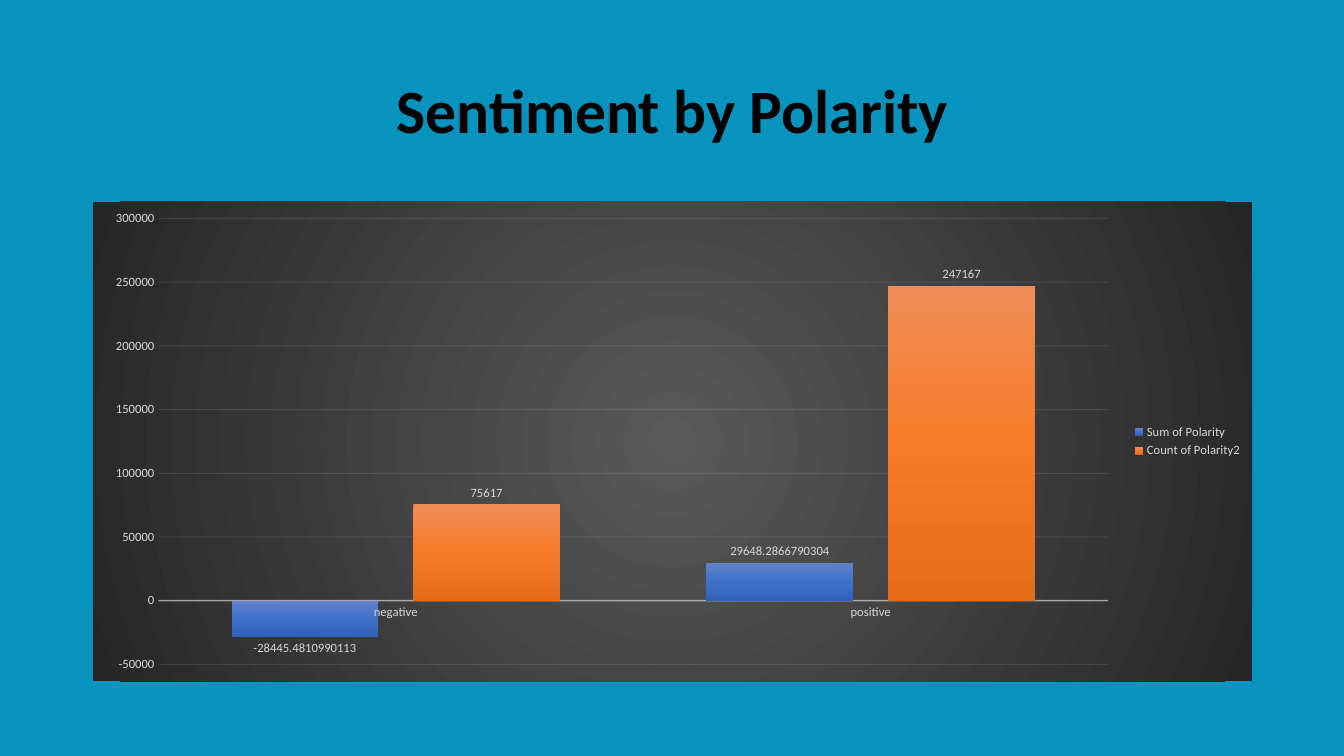
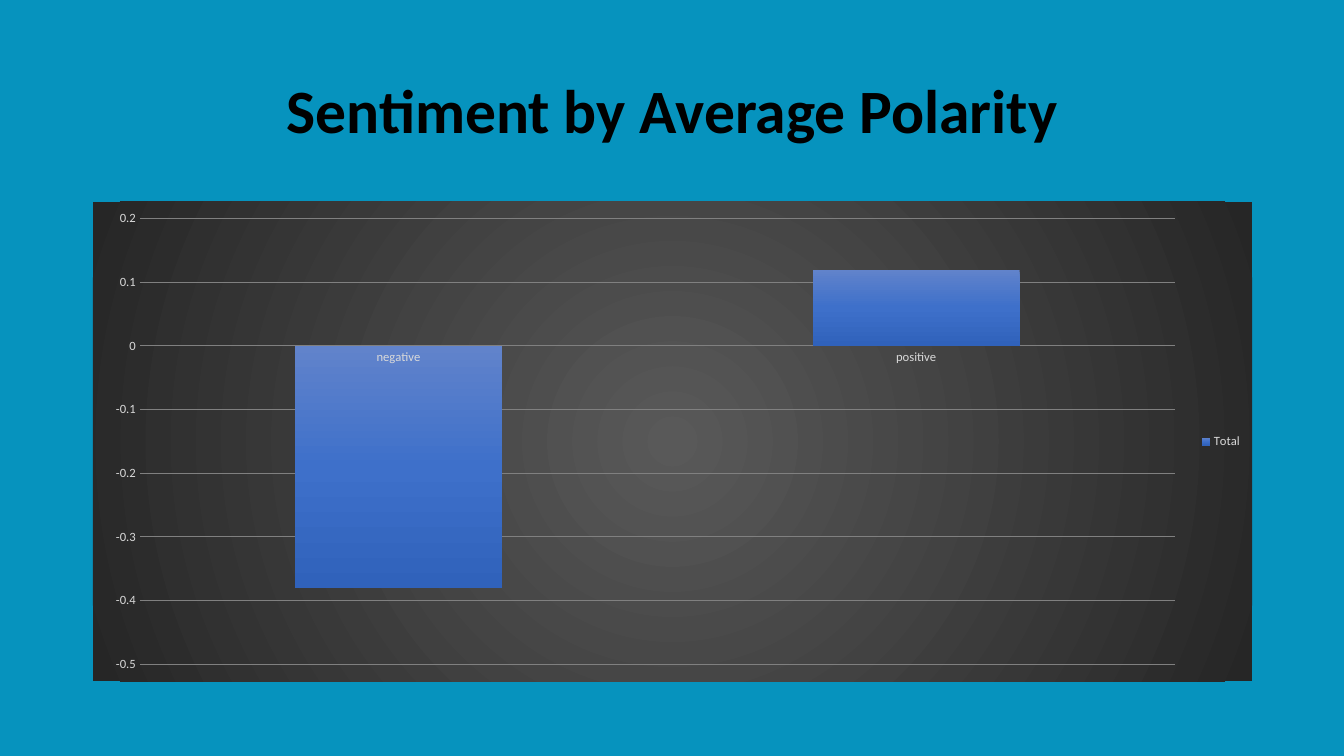
from dataclasses import dataclass
from pptx import Presentation
from pptx.chart.data import CategoryChartData
from pptx.dml.color import RGBColor
from pptx.enum.chart import XL_CHART_TYPE as ChartType
from pptx.enum.chart import XL_LABEL_POSITION as LabelPosition
from pptx.enum.chart import XL_LEGEND_POSITION as LegendPosition
from pptx.enum.chart import XL_TICK_MARK as TickMark
from pptx.enum.text import MSO_ANCHOR, MSO_AUTO_SIZE, PP_ALIGN
from pptx.oxml import parse_xml
from pptx.oxml.ns import nsdecls
from pptx.util import Inches, Pt


@dataclass(frozen=True)
class Theme:
    font: str = "Calibri"
    background: str = "0693BE"
    title: str = "000000"
    label: str = "D9D9D9"
    line: str = "F2F2F2"
    panel: tuple = ((0, "595959"), (100, "262626"))
    bars: tuple = (
        ((0, "6183CB"), (50, "3E70CA"), (100, "3062BB")),
        ((0, "F18C57"), (50, "F67B28"), (100, "E56C19")),
    )
    title_size: int = 44
    label_size: int = 9


THEME = Theme()
WIDTH, HEIGHT = Inches(13.33), Inches(7.5)
MARGIN = Inches(0.92)
CONTENT_WIDTH = Inches(11.5)
TITLE_AREA = (MARGIN, Inches(0.4), CONTENT_WIDTH, Inches(1.45))
CHART_AREA = (MARGIN, Inches(2), CONTENT_WIDTH, Inches(4.76))
LINEAR = '<a:lin ang="5400000" scaled="0"/>'
RADIAL = ('<a:path path="circle">'
          '<a:fillToRect l="50000" t="50000" r="50000" b="50000"/></a:path>')

CATEGORIES = ("negative", "positive")
SLIDES = [
    {
        "title": "Sentiment by Polarity",
        "series": {
            "Sum of Polarity": (-28445.4810990113, 29648.2866790304),
            "Count of Polarity2": (75617, 247167),
        },
        "scale": (-50000, 300000, 50000),
        "gap": 100, "overlap": -24, "labels": True,
        "grid": (THEME.line, 10), "axis_line": (THEME.line, 54),
    },
    {
        "title": "Sentiment by Average Polarity",
        "series": {"Total": (-0.38, 0.12)},
        "scale": (-0.5, 0.2, 0.1),
        "gap": 150, "overlap": 0, "labels": False,
        "grid": ("808080", 100), "axis_line": None,
    },
]


def style_font(font, size, color, bold=False):
    font.name = THEME.font
    font.size = Pt(size)
    font.bold = bold
    font.color.rgb = RGBColor.from_string(color)


def style_label(font):
    style_font(font, THEME.label_size, THEME.label)


def gradient(stops, direction):
    marks = "".join(
        f'<a:gs pos="{share * 1000}"><a:srgbClr val="{color}"/></a:gs>'
        for share, color in stops)
    return parse_xml(
        f'<c:spPr {nsdecls("c", "a")}><a:gradFill><a:gsLst>{marks}</a:gsLst>'
        f'{direction}</a:gradFill><a:ln><a:noFill/></a:ln></c:spPr>')


def style_line(axis, line, look, width, query):
    if look is None:
        line.fill.background()
        return
    color, opacity = look
    line.width = Pt(width)
    line.color.rgb = RGBColor.from_string(color)
    if opacity < 100:
        for node in axis._element.xpath(query):
            node.append(parse_xml(
                f'<a:alpha {nsdecls("a")} val="{opacity * 1000}"/>'))


def style_axes(chart, content):
    category, value = chart.category_axis, chart.value_axis
    for axis, look in ((category, content["axis_line"]), (value, None)):
        axis.major_tick_mark = axis.minor_tick_mark = TickMark.NONE
        style_label(axis.tick_labels.font)
        style_line(axis, axis.format.line, look, 1, "c:spPr//a:srgbClr")
    value.minimum_scale, value.maximum_scale, value.major_unit = content["scale"]
    value.has_major_gridlines = True
    style_line(value, value.major_gridlines.format.line, content["grid"], 0.75,
               "c:majorGridlines//a:srgbClr")


def style_bars(plot, content):
    plot.gap_width = content["gap"]
    plot.overlap = content["overlap"]
    plot.vary_by_categories = False
    for series, stops in zip(plot.series, THEME.bars):
        series.invert_if_negative = False
        shape_style = series._element.get_or_add_spPr()
        shape_style.getparent().replace(shape_style, gradient(stops, LINEAR))
        if content["labels"]:
            labels = series.data_labels
            labels.show_value = True
            labels.position = LabelPosition.OUTSIDE_END
            style_label(labels.font)


def add_column_chart(slide, content):
    data = CategoryChartData()
    data.categories = CATEGORIES
    for name, values in content["series"].items():
        data.add_series(name, values)
    chart = slide.shapes.add_chart(
        ChartType.COLUMN_CLUSTERED, *CHART_AREA, data).chart
    style_font(chart.font, 10, THEME.title)
    chart.has_title = False
    chart.has_legend = True
    chart.legend.position = LegendPosition.RIGHT
    chart.legend.include_in_layout = False
    style_label(chart.legend.font)
    style_axes(chart, content)
    style_bars(chart.plots[0], content)
    chart._chartSpace.xpath("c:chart")[0].addnext(gradient(THEME.panel, RADIAL))


def place_title(title):
    title.left, title.top, title.width, title.height = TITLE_AREA


def add_title(slide, text):
    frame = slide.shapes.title.text_frame
    frame.text = text
    frame.word_wrap = True
    frame.auto_size = MSO_AUTO_SIZE.NONE
    frame.vertical_anchor = MSO_ANCHOR.MIDDLE
    para = frame.paragraphs[0]
    para.alignment = PP_ALIGN.CENTER
    para.line_spacing = 0.9
    style_font(para.runs[0].font, THEME.title_size, THEME.title, bold=True)


def main():
    deck = Presentation()
    deck.slide_width, deck.slide_height = WIDTH, HEIGHT
    fill = deck.slide_master.background.fill
    fill.solid()
    fill.fore_color.rgb = RGBColor.from_string(THEME.background)
    layout = deck.slide_layouts.get_by_name("Title Only")
    place_title(layout.placeholders[0])
    for content in SLIDES:
        slide = deck.slides.add_slide(layout)
        add_title(slide, content["title"])
        add_column_chart(slide, content)
    deck.save("out.pptx")


if __name__ == "__main__":
    main()
